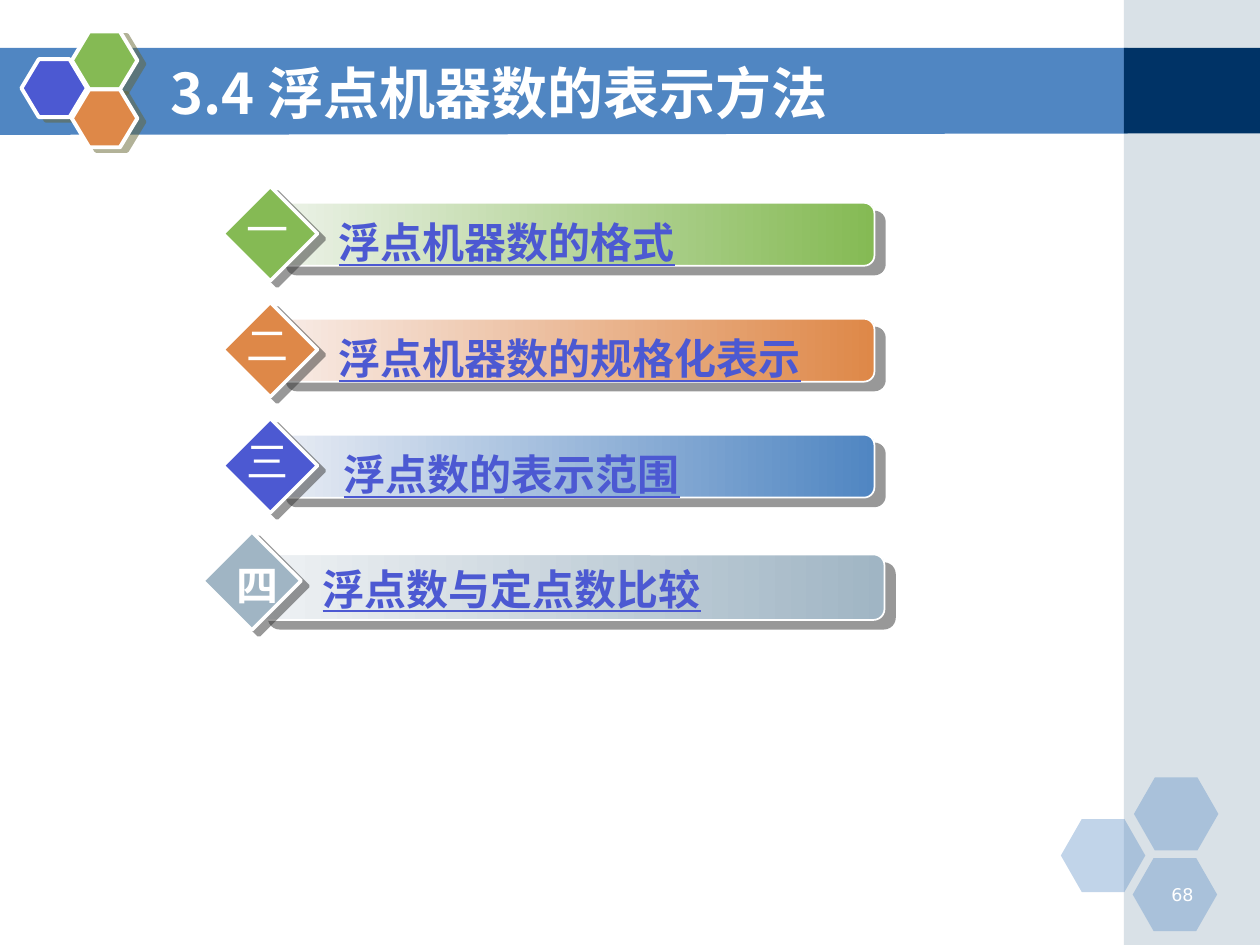
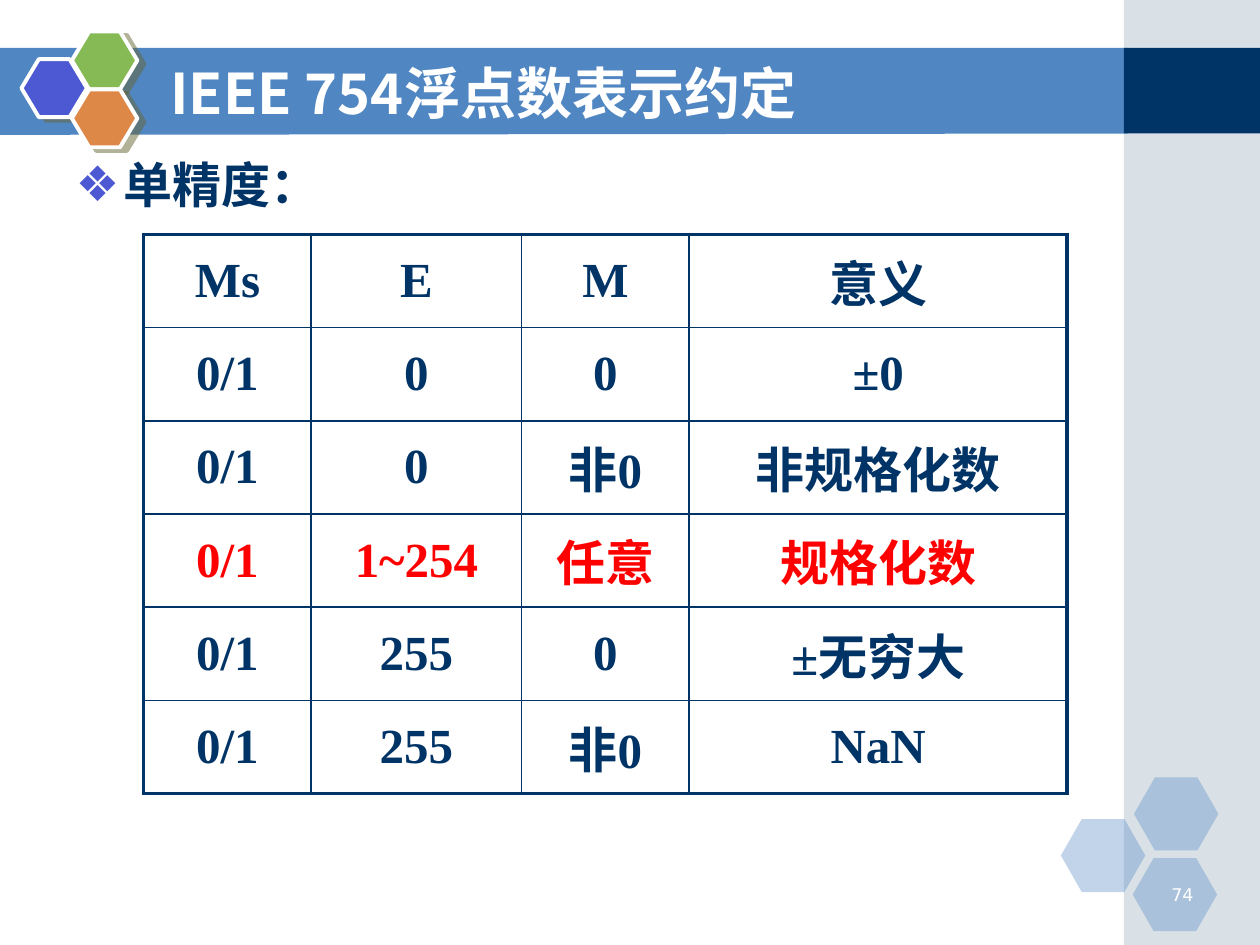
from dataclasses import dataclass

from pptx import Presentation
from pptx import util as u
from pptx.dml.color import RGBColor
from pptx.enum import shapes as sh, text as tx
from pptx.oxml import parse_xml
from pptx.oxml.ns import nsdecls, qn

Inch = u.Inches
Kind = sh.MSO_SHAPE


class Theme:
    """Colours, fonts and type sizes of the deck."""
    white, navy, blue, violet = "FFFFFF", "003366", "5086C2", "4C59D2"
    green, orange, grey, red = "85BA54", "DE8848", "A0B5C4", "FF0000"
    cast, olive = "333333", "666633"
    sans, serif, digit = "Noto Sans CJK SC", "Times New Roman", "DejaVu Sans"
    title, body, item, page = 32, 28, 24, 10


@dataclass
class Item:
    """One agenda line: its mark, its bar and its label."""
    mark: str
    label: str
    tint: str
    color: str
    left: float = 1.77
    top: float = 1.48
    size: float = 0.75
    bar: tuple = (0.42, 0.13, 4.75, 0.5)
    text: tuple = (0.67, 0.19, 4.3, 0.5)
    num: tuple = (0.09, 0.09, 0.53, 0.5)
    inset: float = 0.25
    bold: bool = False


PITCH = 0.92
ITEMS = [
    Item("一", "浮点机器数的格式", "ECF2E8", Theme.green),
    Item("二", "浮点机器数的规格化表示", "F8ECE7", Theme.orange,
         top=1.48 + PITCH),
    Item("三", "浮点数的表示范围", "E8ECF4", Theme.blue,
         top=1.48 + 2 * PITCH, inset=0.29),
    Item("四", "浮点数与定点数比较", "EFF2F4", Theme.grey,
         left=1.61, top=4.22, size=0.78, bar=(0.44, 0.18, 4.97, 0.52),
         text=(0.7, 0.2, 3.92, 0.5), num=(0.08, 0.17, 0.71, 0.5), bold=True),
]
ROWS = [
    ("Ms", "E", "M", "意义"),
    ("0/1", "0", "0", "±0"),
    ("0/1", "0", "非0", "非规格化数"),
    ("0/1", "1~254", "任意", "规格化数"),
    ("0/1", "255", "0", "±无穷大"),
    ("0/1", "255", "非0", "NaN"),
]
WIDTHS, HEIGHT, KEY_ROW = (1.33, 1.67, 1.33, 3), 0.74, 3


def rgb(code):
    """Turn a hex code into a colour."""
    return RGBColor.from_string(code)


def xml(tag, body="", **attrs):
    """Build one DrawingML element."""
    pairs = " ".join(f'{key}="{val}"' for key, val in attrs.items())
    return parse_xml(f"<a:{tag} {nsdecls('a')} {pairs}>{body}</a:{tag}>")


def style(para, size, color, bold=False, face=Theme.sans, align=None, line=False):
    """Set the font and alignment of a whole paragraph."""
    para.alignment, para.space_before = align, u.Pt(0)
    font = para.font
    font.size, font.bold, font.name = u.Pt(size), bold, face
    font.color.rgb = rgb(color)
    if line:
        font.underline = True
    para._p.pPr.find(qn("a:defRPr")).append(xml("ea", typeface=Theme.sans))


def place(shape, box):
    """Move a shape to a box in inches."""
    shape.left, shape.top, shape.width, shape.height = map(Inch, box)


def paint(shape, fill=None, alpha=None, line=None, shadow=None):
    """Give a shape its fill, white outline and shadow."""
    shape.shadow.inherit = False
    if fill:
        shape.fill.solid()
        shape.fill.fore_color.rgb = rgb(fill)
    if alpha:
        tone = shape.element.spPr.find(".//" + qn("a:srgbClr"))
        tone.append(xml("alpha", val=alpha * 1000))
    if line:
        shape.line.color.rgb = rgb(Theme.white)
        shape.line.width = u.Pt(line)
    else:
        shape.line.fill.background()
    if shadow:
        color, dist, angle = shadow
        tone = f'<a:srgbClr val="{color}"><a:alpha val="50000"/></a:srgbClr>'
        cast = xml("outerShdw", tone, dist=u.Pt(dist), dir=angle * 60000,
                   algn="ctr", rotWithShape=0)
        shape.element.spPr.find(qn("a:effectLst")).append(cast)


def draw(slide, kind, box, adj=None, **look):
    """Add a painted preset shape."""
    shape = slide.shapes.add_shape(kind, *map(Inch, box))
    if adj:
        shape.adjustments[0] = adj
    paint(shape, **look)
    return shape


def write(slide, box, words, wrap=True, inset=0.1, **look):
    """Add a one-line text box."""
    frame = slide.shapes.add_textbox(*map(Inch, box)).text_frame
    frame.word_wrap, frame.margin_left = wrap, Inch(inset)
    frame.text = words
    style(frame.paragraphs[0], **look)


def hexes(slide, box, size, spots, adj, **look):
    """Draw a cluster of hexagons at spots relative to the box corner."""
    for dx, dy, color in spots:
        draw(slide, Kind.HEXAGON, (box[0] + dx, box[1] + dy, *size), adj,
             fill=color, **look)


def dress(prs, slide):
    """Draw the shared band, side column and hexagons, kept on the master."""
    pen = slide.shapes.build_freeform(Inch(0), Inch(0.38))
    ends = [(8.95, 0.38), (8.95, 1.06), (0, 1.07)]
    pen.add_line_segments([(Inch(x), Inch(y)) for x, y in ends])
    paint(pen.convert_to_shape(), fill=Theme.blue)
    draw(slide, Kind.RECTANGLE, (8.92, 0, 1.08, 7.5), fill=Theme.grey, alpha=40)
    draw(slide, Kind.RECTANGLE, (8.92, 0.38, 1.08, 0.68), fill=Theme.navy)
    hexes(slide, (8.42, 6.17), (0.67, 0.58),
          [(0, 0.33, Theme.blue), (0.58, 0, Theme.blue), (0.57, 0.64, Theme.blue)],
          0.286, alpha=35)
    hexes(slide, (0.17, 0.25), (0.52, 0.46),
          [(0, 0.22, Theme.violet), (0.4, 0, Theme.green), (0.4, 0.46, Theme.orange)],
          0.3, line=2.25, shadow=(Theme.olive, 4.5, 27))
    for shape in list(slide.shapes):
        if not shape.is_placeholder:
            prs.slide_master.shapes.element.append(shape.element)


def head(slide, words, page):
    """Fill the title and add the page number."""
    title = slide.shapes.title
    place(title, (1.25, 0.42, 7.33, 0.62))
    frame = title.text_frame
    frame.text, frame.auto_size = words, tx.MSO_AUTO_SIZE.NONE
    frame.vertical_anchor = tx.MSO_ANCHOR.MIDDLE
    style(frame.paragraphs[0], Theme.title, Theme.white, True,
          align=tx.PP_ALIGN.LEFT)
    write(slide, (9.07, 6.97, 0.5, 0.25), str(page), size=Theme.page,
          color=Theme.white, face=Theme.digit, align=tx.PP_ALIGN.RIGHT)


def entry(slide, item):
    """Draw one agenda line from its diamond corner."""
    def at(box):
        """Shift a box by the corner of the diamond."""
        return (item.left + box[0], item.top + box[1], *box[2:])

    bar = draw(slide, Kind.ROUNDED_RECTANGLE, at(item.bar), 0.167, line=1,
               shadow=(Theme.cast, 7.8, 40))
    bar.fill.gradient()
    bar.fill.gradient_angle = 0
    for stop, color in zip(bar.fill.gradient_stops, (item.tint, item.color)):
        stop.color.rgb = rgb(color)
    write(slide, at(item.text), item.label, inset=item.inset, size=Theme.item,
          color=Theme.violet, bold=True, line=True)
    fill = Theme.violet if item.color == Theme.blue else item.color
    draw(slide, Kind.DIAMOND, at((0, 0, item.size, item.size)), fill=fill,
         line=2, shadow=(Theme.cast, 5, 37))
    write(slide, at(item.num), item.mark, wrap=item.bold, size=Theme.item,
          color=Theme.white, bold=item.bold, align=tx.PP_ALIGN.CENTER)


def lead(slide, box, words):
    """Fill the body placeholder with one bulleted line."""
    body = slide.placeholders[1]
    place(body, box)
    frame = body.text_frame
    frame.text, frame.auto_size = words, tx.MSO_AUTO_SIZE.NONE
    para = frame.paragraphs[0]
    props = para._p.get_or_add_pPr()
    props.set("marL", str(Inch(0.38)))
    props.set("indent", str(Inch(-0.38)))
    props.append(xml("buClr", f'<a:srgbClr val="{Theme.violet}"/>'))
    props.append(xml("buChar", char="❖"))
    style(para, Theme.body, Theme.navy, True)


def edge(cell, widths):
    """Set the left, right, top and bottom borders of a cell."""
    props = cell._tc.get_or_add_tcPr()
    fill = f'<a:solidFill><a:srgbClr val="{Theme.navy}"/></a:solidFill>'
    for i, (side, width) in enumerate(zip("LRTB", widths)):
        props.insert(i, xml("ln" + side, fill, w=u.Pt(width)))


def grid(slide, left, top):
    """Draw the table of encodings."""
    size = (sum(WIDTHS), HEIGHT * len(ROWS))
    table = slide.shapes.add_table(len(ROWS), len(WIDTHS),
                                   *map(Inch, (left, top, *size))).table
    table.first_row = table.horz_banding = False
    for col, width in zip(table.columns, WIDTHS):
        col.width = Inch(width)
    for r, row in enumerate(ROWS):
        table.rows[r].height = Inch(HEIGHT)
        for c, words in enumerate(row):
            cell = table.cell(r, c)
            cell.text, cell.vertical_anchor = words, tx.MSO_ANCHOR.MIDDLE
            cell.fill.background()
            outer = (c == 0, c == len(WIDTHS) - 1, r == 0, r == len(ROWS) - 1)
            edge(cell, [2.25 if out else 1 for out in outer])
            style(cell.text_frame.paragraphs[0], Theme.body,
                  Theme.red if r == KEY_ROW else Theme.navy, True,
                  Theme.serif, tx.PP_ALIGN.CENTER)


def agenda(prs):
    """Build the agenda slide."""
    slide = prs.slides.add_slide(prs.slide_layouts[5])
    dress(prs, slide)
    head(slide, "3.4 浮点机器数的表示方法", 68)
    for item in ITEMS:
        entry(slide, item)


def codes(prs):
    """Build the slide with the table of encodings."""
    slide = prs.slides.add_slide(prs.slide_layouts[1])
    head(slide, "IEEE 754浮点数表示约定", 74)
    lead(slide, (0.5, 1.18, 8.27, 0.68), "单精度：")
    grid(slide, 1.14, 1.86)


def main():
    """Build and save the deck."""
    prs = Presentation()
    prs.slide_width, prs.slide_height = Inch(10), Inch(7.5)
    agenda(prs)
    codes(prs)
    prs.save("out.pptx")


if __name__ == "__main__":
    main()
